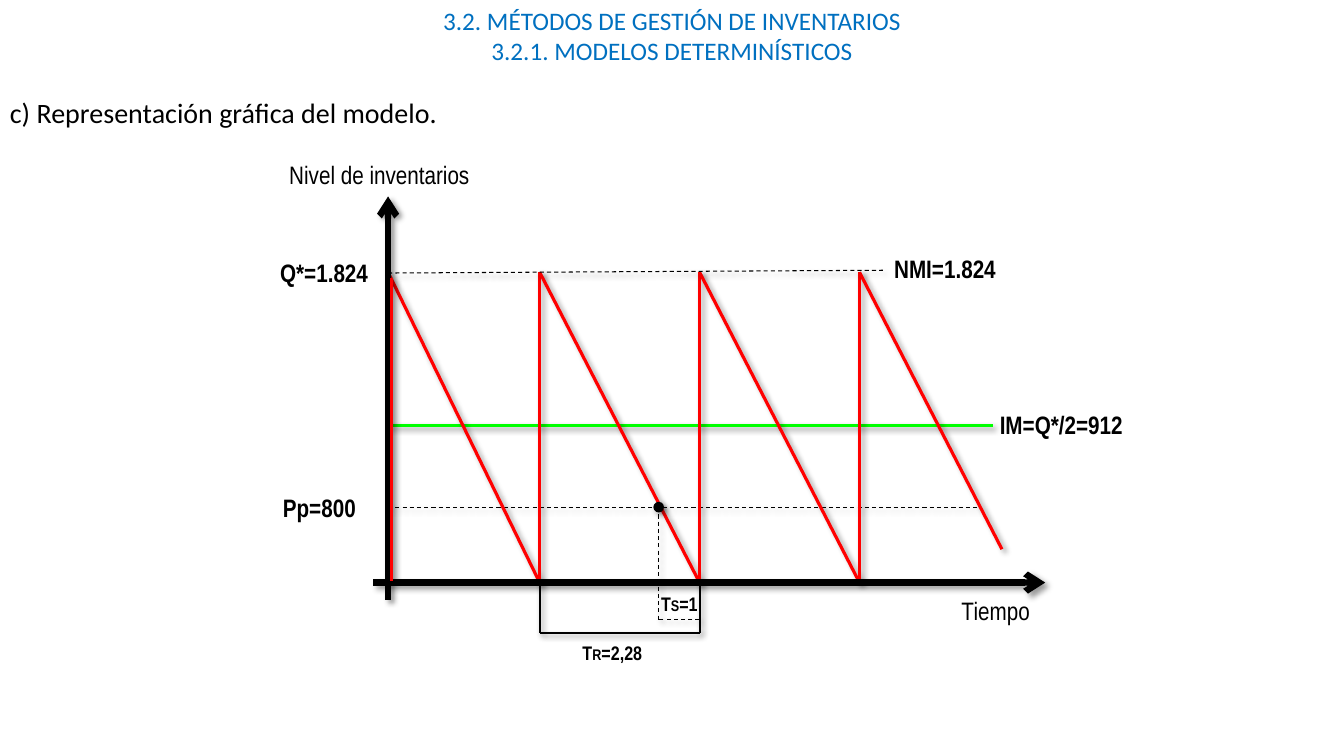
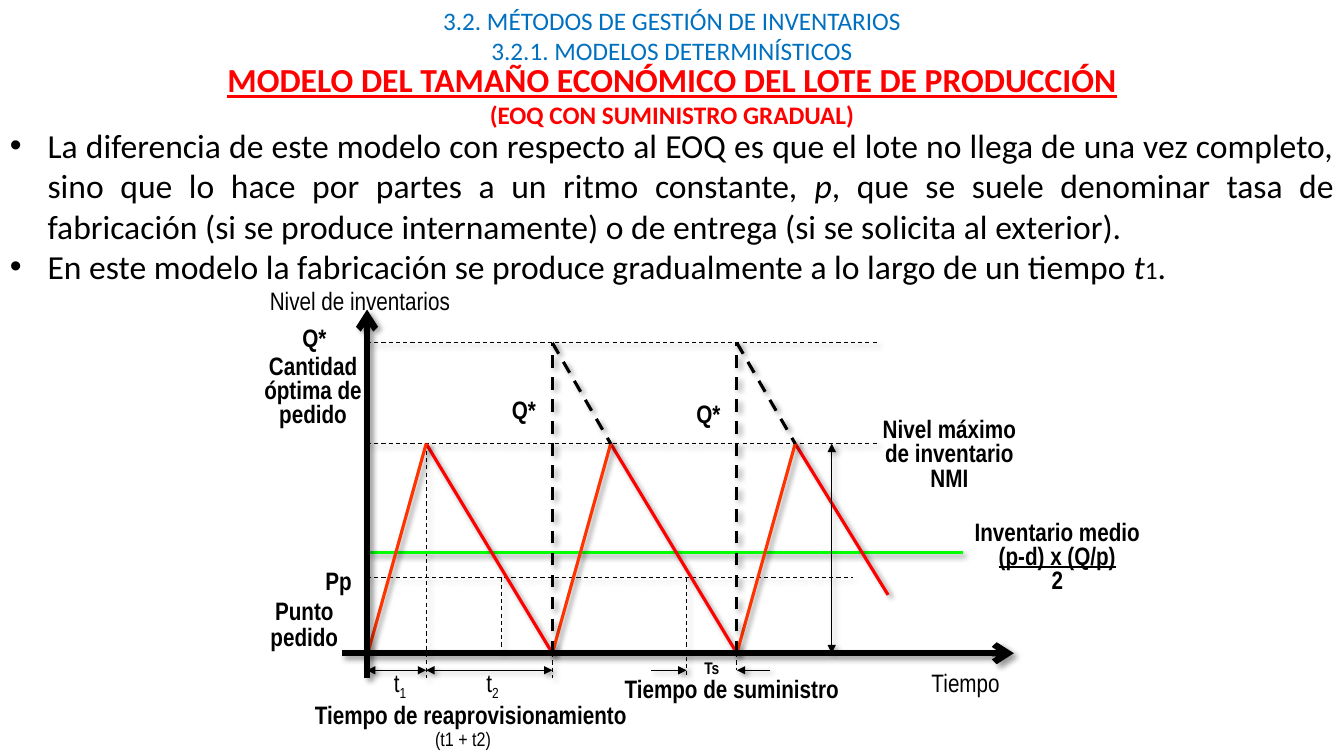
from lxml.etree import SubElement
from pptx import Presentation
from pptx.dml.color import RGBColor
from pptx.enum.dml import MSO_LINE
from pptx.enum.shapes import MSO_CONNECTOR, MSO_SHAPE
from pptx.enum.text import PP_ALIGN
from pptx.oxml import parse_xml
from pptx.oxml.ns import qn
from pptx.util import Cm, Pt

BLACK, RED, ORANGE, GREEN, BLUE = "000000", "FF0000", "FF3300", "00FF00", "0070C0"
LEFT, CENTER, JUSTIFY = PP_ALIGN.LEFT, PP_ALIGN.CENTER, PP_ALIGN.JUSTIFY
WIDTH = 33.87
SHADOW = (
    '<a:effectLst xmlns:a="http://schemas.openxmlformats.org/drawingml/2006/main">'
    '<a:outerShdw blurRad="50800" dist="38100" dir="2700000" algn="tl" rotWithShape="0">'
    '<a:srgbClr val="000000"><a:alpha val="40000"/></a:srgbClr>'
    "</a:outerShdw></a:effectLst>"
)


def add_text(slide, box, paragraphs, size=18, bold=False, alignment=LEFT,
             spacing=None, color=BLACK, font_name="Arial Narrow", wrap=True):
    shape = slide.shapes.add_textbox(*[Cm(length) for length in box])
    text_frame = shape.text_frame
    text_frame.word_wrap = wrap
    for index, pieces in enumerate(paragraphs):
        paragraph = text_frame.add_paragraph() if index else text_frame.paragraphs[0]
        paragraph.text = pieces[0]
        for piece in pieces[1:]:
            paragraph.add_run().text = piece
        paragraph.alignment = alignment
        paragraph.line_spacing = spacing
        for run in paragraph.runs:
            run.font.name = font_name
            run.font.size = Pt(size)
            run.font.bold = bold
            run.font.color.rgb = RGBColor.from_string(color)
    return text_frame.paragraphs


def add_line(slide, start, end, color=BLACK, width=0.75, dashed=False, head=None, tail=None):
    connector = slide.shapes.add_connector(
        MSO_CONNECTOR.STRAIGHT, *[Cm(length) for length in (*start, *end)])
    connector.line.color.rgb = RGBColor.from_string(color)
    connector.line.width = Pt(width)
    if dashed:
        connector.line.dash_style = MSO_LINE.DASH
    properties = connector._element.spPr
    outline = properties.find(qn("a:ln"))
    for tag, arrow in (("a:headEnd", head), ("a:tailEnd", tail)):
        if arrow:
            SubElement(outline, qn(tag)).set("type", arrow)
    properties.append(parse_xml(SHADOW))


presentation = Presentation()
presentation.slide_width = Cm(WIDTH)
presentation.slide_height = Cm(19.05)
slides = [presentation.slides.add_slide(presentation.slide_layouts[6]) for _ in range(2)]

for slide in slides:
    for top, title in ((0, "3.2. MÉTODOS DE GESTIÓN DE INVENTARIOS"),
                       (0.76, "3.2.1. MODELOS DETERMINÍSTICOS")):
        add_text(slide, (0, top, WIDTH, 1.02), [[title]], alignment=CENTER,
                 color=BLUE, font_name="Calibri")

slide = slides[0]
add_text(slide, (0, 2.29, WIDTH, 1.12), [["c) Representación gráfica del modelo."]],
         size=20, alignment=JUSTIFY, font_name="Calibri")

axis_x, base_y, peak_y, reorder_y = 9.78, 14.68, 6.86, 12.78
cycles = [13.6 + 4.03 * index for index in range(3)]
order_x, lead_y, bracket_y = 16.6, 15.62, 15.95

add_line(slide, (axis_x, reorder_y), (24.74, reorder_y), dashed=True)
add_line(slide, (axis_x, 10.72), (25.02, 10.72), GREEN, 2)
for start_x, end_x in zip([axis_x] + cycles, cycles):
    add_line(slide, (start_x, peak_y), (end_x, base_y), RED, 2.25)
    add_line(slide, (end_x, base_y), (end_x, peak_y), RED, 2.25)
add_line(slide, (cycles[-1], peak_y), (25.25, 13.84), RED, 2.25)
add_line(slide, (axis_x, 4.95), (axis_x, 15.11), width=4.5, head="arrow")
add_line(slide, (9.4, base_y), (26.34, base_y), width=4.5, tail="arrow")
add_line(slide, (9.86, 14.63), (9.86, 7.01), RED, 2)
add_line(slide, (axis_x, 6.88), (22.25, 6.81), dashed=True)

add_line(slide, (order_x, reorder_y), (order_x, lead_y), dashed=True)
add_line(slide, (cycles[1], lead_y), (order_x, lead_y), dashed=True)
for cycle_x in cycles[:2]:
    add_line(slide, (cycle_x, base_y), (cycle_x, bracket_y), width=1.5)
add_line(slide, (cycles[1], bracket_y), (cycles[0], bracket_y), width=1.5)

diameter = 0.23
dot = slide.shapes.add_shape(
    MSO_SHAPE.FLOWCHART_CONNECTOR, Cm(order_x - diameter / 2),
    Cm(reorder_y - diameter / 2), Cm(diameter), Cm(diameter))
dot.fill.solid()
dot.fill.fore_color.rgb = RGBColor.from_string(BLACK)
dot.line.color.rgb = RGBColor.from_string(BLACK)
dot.line.width = Pt(1)
dot._element.spPr.append(parse_xml(SHADOW))

add_text(slide, (7.04, 3.89, 5.92, 1.02), [["Nivel de inventarios"]])
add_text(slide, (23.98, 14.88, 2.97, 1.02), [["Tiempo"]])
add_text(slide, (6.81, 6.35, 2.82, 1.02), [["Q*=1.824"]], bold=True)
add_text(slide, (6.88, 12.27, 2.67, 1.02), [["Pp=800"]], bold=True)
add_text(slide, (21.54, 6.25, 4.55, 1.02), [["NMI=1.824"]], bold=True, alignment=CENTER)
add_text(slide, (24.79, 10.34, 3.91, 0.86), [["IM=Q*/2=912"]], bold=True,
         alignment=CENTER, spacing=0.8)
for box, pieces in (((16.41, 14.78, 1.52, 0.86), ["T", "S", "=1"]),
                    ((14.43, 16.03, 2.34, 0.86), ["T", "R", "=2,28"])):
    paragraphs = add_text(slide, box, [pieces], size=14, bold=True)
    paragraphs[0].runs[1].font.size = Pt(11)

slide = slides[1]
body = add_text(slide, (0, 3.02, WIDTH, 4.37), [
    ["La diferencia de este modelo con respecto al EOQ es que el lote no llega de una vez "
     "completo, sino que lo hace por partes a un ritmo constante, ", "p",
     ", que se suele denominar tasa de fabricación (si se produce internamente) o de "
     "entrega (si se solicita al exterior)."],
    ["En este modelo la fabricación se produce gradualmente a lo largo de un tiempo ",
     "t", "1", "."],
], size=24, alignment=JUSTIFY, font_name="Calibri")
for paragraph in body:
    properties = paragraph._p.get_or_add_pPr()
    properties.set("marL", str(Cm(0.95)))
    properties.set("indent", str(-Cm(0.95)))
    SubElement(properties, qn("a:buFont")).set("typeface", "Arial")
    SubElement(properties, qn("a:buChar")).set("char", "•")
    paragraph.runs[1].font.italic = True
body[1].runs[2].font.size = Pt(18)

heading = add_text(slide, (0, 1.37, WIDTH, 2.06), [
    ["MODELO DEL TAMAÑO ECONÓMICO DEL LOTE DE PRODUCCIÓN"],
    ["(EOQ CON SUMINISTRO GRADUAL)"],
], bold=True, alignment=CENTER, color=RED, font_name="Calibri")
heading[0].runs[0].font.size = Pt(24)
heading[0].runs[0].font.underline = True

axis_x, base_y, peak_y, lot_y, reorder_y = 9.25, 16.46, 11.18, 8.64, 14.55
dimension_y, tick_y = 16.89, 17.09
cycles = [9.27 + 4.65 * index for index in range(3)]
peaks = [cycle_x + 1.47 for cycle_x in cycles]
order_points = [cycle_x - 1.27 for cycle_x in cycles[1:]]

add_line(slide, (axis_x, reorder_y), (21.49, reorder_y), dashed=True)
for level_y in (peak_y, lot_y):
    add_line(slide, (axis_x, level_y), (22.17, level_y), dashed=True)
for order_x, bottom_y in zip(order_points, (base_y, tick_y)):
    add_line(slide, (order_x, reorder_y), (order_x, bottom_y), dashed=True)
add_line(slide, (peaks[0], peak_y), (peaks[0], tick_y), dashed=True)
add_line(slide, (cycles[1], base_y), (cycles[1], tick_y), dashed=True)
add_line(slide, (cycles[2], base_y), (cycles[2], dimension_y), dashed=True)
add_line(slide, (axis_x, 13.92), (24.26, 13.92), GREEN, 2)

falls = [(cycle_x, base_y) for cycle_x in cycles[1:]] + [(22.38, 14.99)]
for cycle_x, peak_x, fall_end in zip(cycles, peaks, falls):
    add_line(slide, (peak_x, peak_y), fall_end, RED, 2.25)
    add_line(slide, (peak_x, peak_y), (cycle_x, base_y), ORANGE, 2.25)
for cycle_x, peak_x in zip(cycles[1:], peaks[1:]):
    add_line(slide, (cycle_x, base_y), (cycle_x, lot_y), width=2.25, dashed=True)
    add_line(slide, (cycle_x, lot_y), (peak_x, peak_y), width=2.25, dashed=True)

for start, end in (((axis_x, dimension_y), (peaks[0], dimension_y)),
                   ((peaks[0], dimension_y), (cycles[1], dimension_y)),
                   ((20.96, base_y), (20.96, peak_y))):
    add_line(slide, start, end, head="triangle", tail="triangle")
for start_x, end_x in ((16.41, order_points[1]), (19.41, cycles[2])):
    add_line(slide, (start_x, dimension_y), (end_x, dimension_y), tail="triangle")
add_line(slide, (axis_x, 7.8), (axis_x, tick_y), width=4.5, head="arrow")
add_line(slide, (8.61, base_y), (25.55, base_y), width=4.5, tail="arrow")

add_text(slide, (6.55, 7.06, 5.11, 1.02), [["Nivel de inventarios"]])
add_text(slide, (23.22, 16.69, 2.97, 1.02), [["Tiempo"]])
for left, top, label in ((7.37, 8, "Q*"), (12.65, 9.8, "Q*"),
                         (17.3, 9.91, "Q*"), (7.95, 14.12, "Pp")):
    add_text(slide, (left, top, 1.27, 1.02), [[label]], bold=True)
add_text(slide, (17.5, 16.46, 1.27, 0.76), [["Ts"]], size=12, bold=True)
add_text(slide, (15.49, 16.84, 6.15, 1.02), [["Tiempo de suministro"]], bold=True)
for left, number in ((9.68, "1"), (12.01, "2")):
    paragraphs = add_text(slide, (left, 16.69, 1.07, 1.02), [["t", number]])
    paragraphs[0].runs[1]._r.get_or_add_rPr().set("baseline", "-25000")

add_text(slide, (6.3, 8.84, 3.18, 2.11), [["Cantidad óptima de pedido"]],
         bold=True, alignment=CENTER, spacing=0.8)
add_text(slide, (6.3, 14.99, 2.74, 1.55), [["Punto pedido"]],
         bold=True, alignment=CENTER, spacing=0.85)
add_text(slide, (21.92, 10.44, 4.01, 2.11), [["Nivel máximo de inventario"], ["NMI"]],
         bold=True, alignment=CENTER, spacing=0.8)
average = add_text(slide, (22.96, 13.03, 7.37, 2.11),
                   [["Inventario medio"], ["(p-d) x (Q/p)"], ["2"]],
                   bold=True, alignment=CENTER, spacing=0.8)
average[1].runs[0].font.underline = True
add_text(slide, (7.65, 17.5, 8.43, 1.02), [["Tiempo de reaprovisionamiento"]],
         bold=True, alignment=CENTER)
add_text(slide, (10.69, 18.19, 1.96, 0.86), [["(t1 + t2)"]], size=14,
         alignment=CENTER, wrap=False)

presentation.save("out.pptx")
